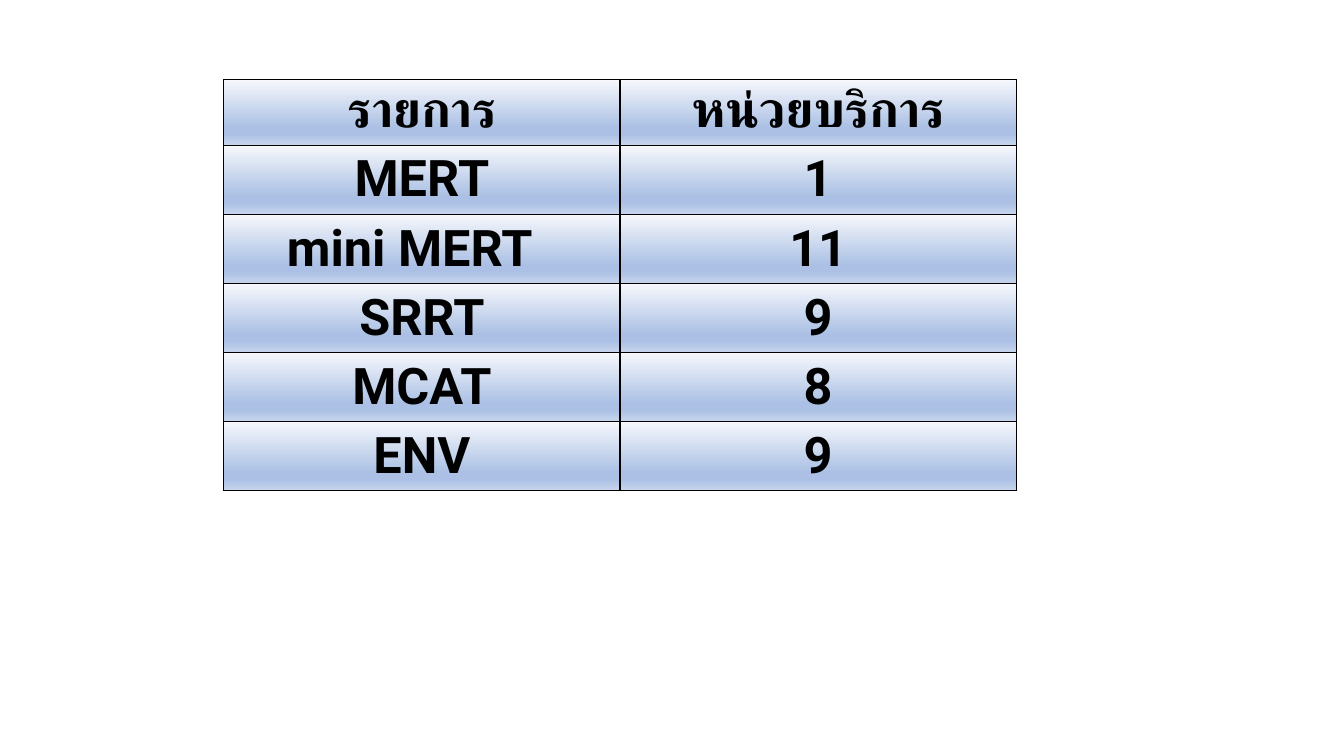
from lxml import etree
from pptx import Presentation
from pptx.dml.color import RGBColor
from pptx.enum.text import MSO_ANCHOR, PP_ALIGN
from pptx.oxml.ns import qn
from pptx.util import Inches, Pt

CENTER = PP_ALIGN.CENTER
MIDDLE = MSO_ANCHOR.MIDDLE

# Content
ROWS = [
    ("รายการ", "หน่วยบริการ"),
    ("MERT", "1"),
    ("mini MERT", "11"),
    ("SRRT", "9"),
    ("MCAT", "8"),
    ("ENV", "9"),
]
SHIFTED_LABEL = "mini MERT"  # sits slightly left of centre

THEME = {
    "header_font": "Calibri",
    "body_font": "Roboto",
    "size": Pt(36),
    "text": "000000",
    "border": "000000",
    "border_width": Pt(1),
    "gradient": [(0, "F6F8FC"), (74, "ABC0E4"), (83, "ABC0E4"), (100, "C7D5ED")],
}

# Layout, in inches
LEFT, TOP = 2.22, 0.79
COLUMN_WIDTH, ROW_HEIGHT = 3.93, 0.65
SHIFTED_MARGIN = 0.34


def add_color(parent, color):
    etree.SubElement(parent, qn("a:srgbClr"), val=color)


def style_cell(cell):
    """Draw the four borders, then the vertical gradient."""
    properties = cell._tc.get_or_add_tcPr()
    for side in ("lnL", "lnR", "lnT", "lnB"):
        line = etree.SubElement(properties, qn(f"a:{side}"), w=str(THEME["border_width"]))
        add_color(etree.SubElement(line, qn("a:solidFill")), THEME["border"])
    gradient = etree.SubElement(properties, qn("a:gradFill"), rotWithShape="1")
    stops = etree.SubElement(gradient, qn("a:gsLst"))
    for position, color in THEME["gradient"]:
        add_color(etree.SubElement(stops, qn("a:gs"), pos=str(position * 1000)), color)
    etree.SubElement(gradient, qn("a:lin"), ang=str(90 * 60000), scaled="0")


def write_cell(cell, text, font_name):
    cell.text = text
    cell.vertical_anchor = MIDDLE
    para = cell.text_frame.paragraphs[0]
    para.alignment = CENTER
    font = para.font
    font.name = font_name
    font.size = THEME["size"]
    font.bold = True
    font.color.rgb = RGBColor.from_string(THEME["text"])
    if text == SHIFTED_LABEL:
        cell.margin_right = Inches(SHIFTED_MARGIN)


def main():
    deck = Presentation()
    deck.slide_width, deck.slide_height = Inches(13.33), Inches(7.5)
    page = deck.slides.add_slide(deck.slide_layouts[6])

    # Table of teams and service units
    row_count, column_count = len(ROWS), len(ROWS[0])
    table = page.shapes.add_table(
        row_count, column_count, Inches(LEFT), Inches(TOP),
        Inches(COLUMN_WIDTH * column_count), Inches(ROW_HEIGHT * row_count),
    ).table
    for row_index, row in enumerate(ROWS):
        font_name = THEME["body_font"] if row_index else THEME["header_font"]
        for column_index, text in enumerate(row):
            cell = table.cell(row_index, column_index)
            write_cell(cell, text, font_name)
            style_cell(cell)

    deck.save("out.pptx")


if __name__ == "__main__":
    main()
